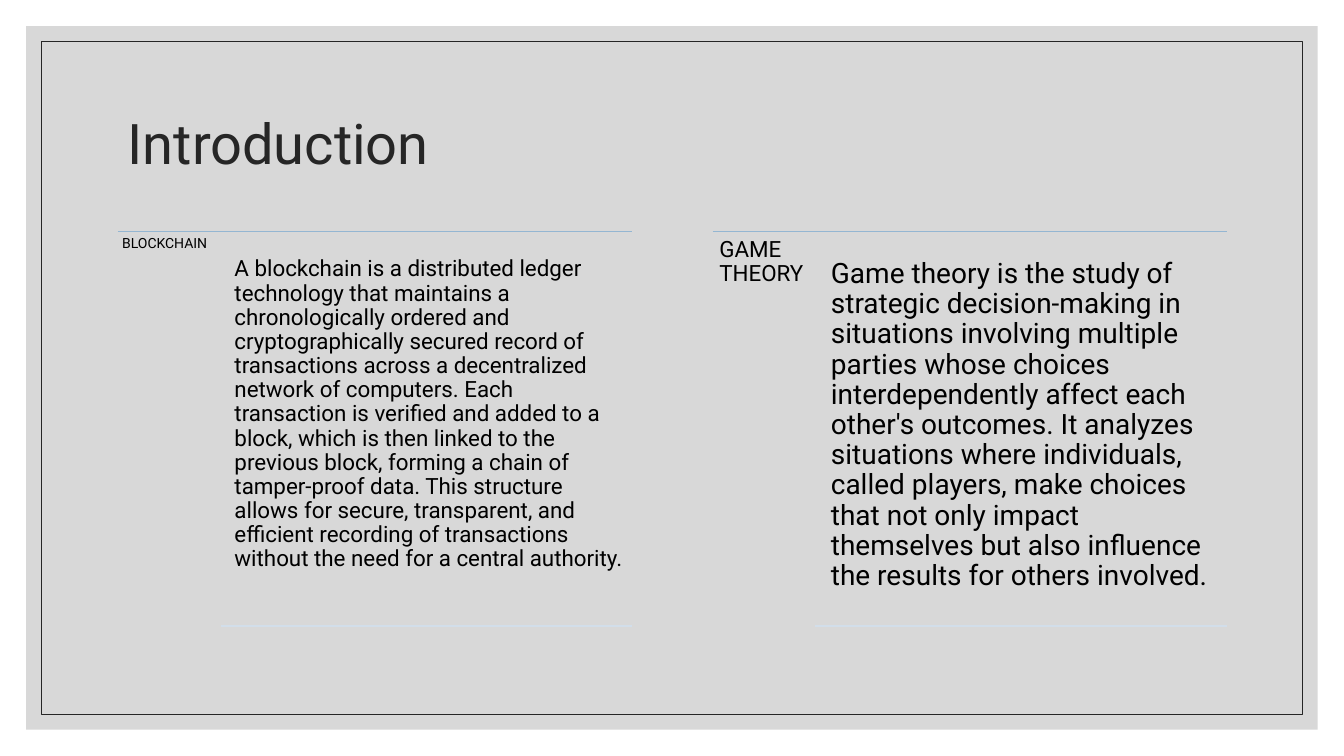
from lxml import etree
from pptx import Presentation
from pptx.dml.color import RGBColor
from pptx.enum.shapes import MSO_CONNECTOR as Connector, MSO_SHAPE as Shape
from pptx.enum.text import MSO_ANCHOR as Anchor
from pptx.oxml.ns import qn
from pptx.util import Cm, Pt

TITLE = "Introduction"
# left edge (cm), then (text, size in pt, inset in cm) for the label and the body
COLUMNS = [
    (2.97, ("BLOCKCHAIN", 10, 0.11), (
        "A blockchain is a distributed ledger technology that maintains a "
        "chronologically ordered and cryptographically secured record of "
        "transactions across a decentralized network of computers. Each "
        "transaction is verified and added to a block, which is then linked "
        "to the previous block, forming a chain of tamper-proof data. This "
        "structure allows for secure, transparent, and efficient recording "
        "of transactions without the need for a central authority.", 16, 0.17)),
    (17.96, ("GAME THEORY", 16, 0.17), (
        "Game theory is the study of strategic decision-making in situations "
        "involving multiple parties whose choices interdependently affect "
        "each other's outcomes. It analyzes situations where individuals, "
        "called players, make choices that not only impact themselves but "
        "also influence the results for others involved.", 20, 0.21)),
]
FONT = "Roboto"
SLIDE_W, SLIDE_H = 33.87, 19.05
COLUMN_TOP, COLUMN_W = 5.84, 12.95
LABEL_W, LABEL_H = 2.59, 10.41
BODY_OFFSET, BODY_TOP, BODY_W, BODY_H = 2.77, 6.32, 10.16, 9.45


def color(value):
    return RGBColor.from_string(value)


def add_backdrop(page, margin):
    """Add a rectangle inset equally from all slide edges."""
    shape = page.shapes.add_shape(
        Shape.RECTANGLE, Cm(margin), Cm(margin),
        Cm(SLIDE_W - 2 * margin), Cm(SLIDE_H - 2 * margin))
    shape.shadow.inherit = False
    return shape


def add_text(page, left, top, width, height, text, size, inset, ink="000000"):
    box = page.shapes.add_textbox(Cm(left), Cm(top), Cm(width), Cm(height))
    frame = box.text_frame
    frame.word_wrap = True
    frame.margin_left = frame.margin_right = Cm(inset)
    frame.margin_top = frame.margin_bottom = Cm(inset)
    frame.text = text
    para = frame.paragraphs[0]
    para.line_spacing = 0.9
    font = para.runs[0].font
    font.name, font.size = FONT, Pt(size)
    font.color.rgb = color(ink)
    return frame


def add_rule(page, left, right, y, ink):
    rule = page.shapes.add_connector(
        Connector.STRAIGHT, Cm(left), Cm(y), Cm(right), Cm(y))
    rule.line.color.rgb = color(ink)
    rule.line.width = Pt(1)
    etree.SubElement(rule._element.spPr, qn("a:effectLst"))


def add_column(page, left, label, body):
    right = left + COLUMN_W
    add_rule(page, left, right, COLUMN_TOP, "94B6D2")
    add_text(page, left, COLUMN_TOP, LABEL_W, LABEL_H, *label)
    add_text(page, left + BODY_OFFSET, BODY_TOP, BODY_W, BODY_H, *body)
    add_rule(page, left + LABEL_W, right, BODY_TOP + BODY_H, "D2DEEA")


def main():
    deck = Presentation()
    deck.slide_width, deck.slide_height = Cm(SLIDE_W), Cm(SLIDE_H)
    page = deck.slides.add_slide(deck.slide_layouts[6])

    panel = add_backdrop(page, 0.66)
    panel.fill.solid()
    panel.fill.fore_color.rgb = color("BFBFBF")
    panel.line.fill.background()
    tint = panel._element.spPr.find(qn("a:solidFill")).find(qn("a:srgbClr"))
    etree.SubElement(tint, qn("a:alpha"), val="60000")

    border = add_backdrop(page, 1.04)
    border.fill.background()
    border.line.color.rgb = color("262626")
    border.line.width = Pt(0.5)

    title = add_text(page, 2.97, 1.78, 27.94, 3.81, TITLE, 40, 0.25, "262626")
    title.vertical_anchor = Anchor.MIDDLE

    for column in COLUMNS:
        add_column(page, *column)
    deck.save("out.pptx")


if __name__ == "__main__":
    main()
